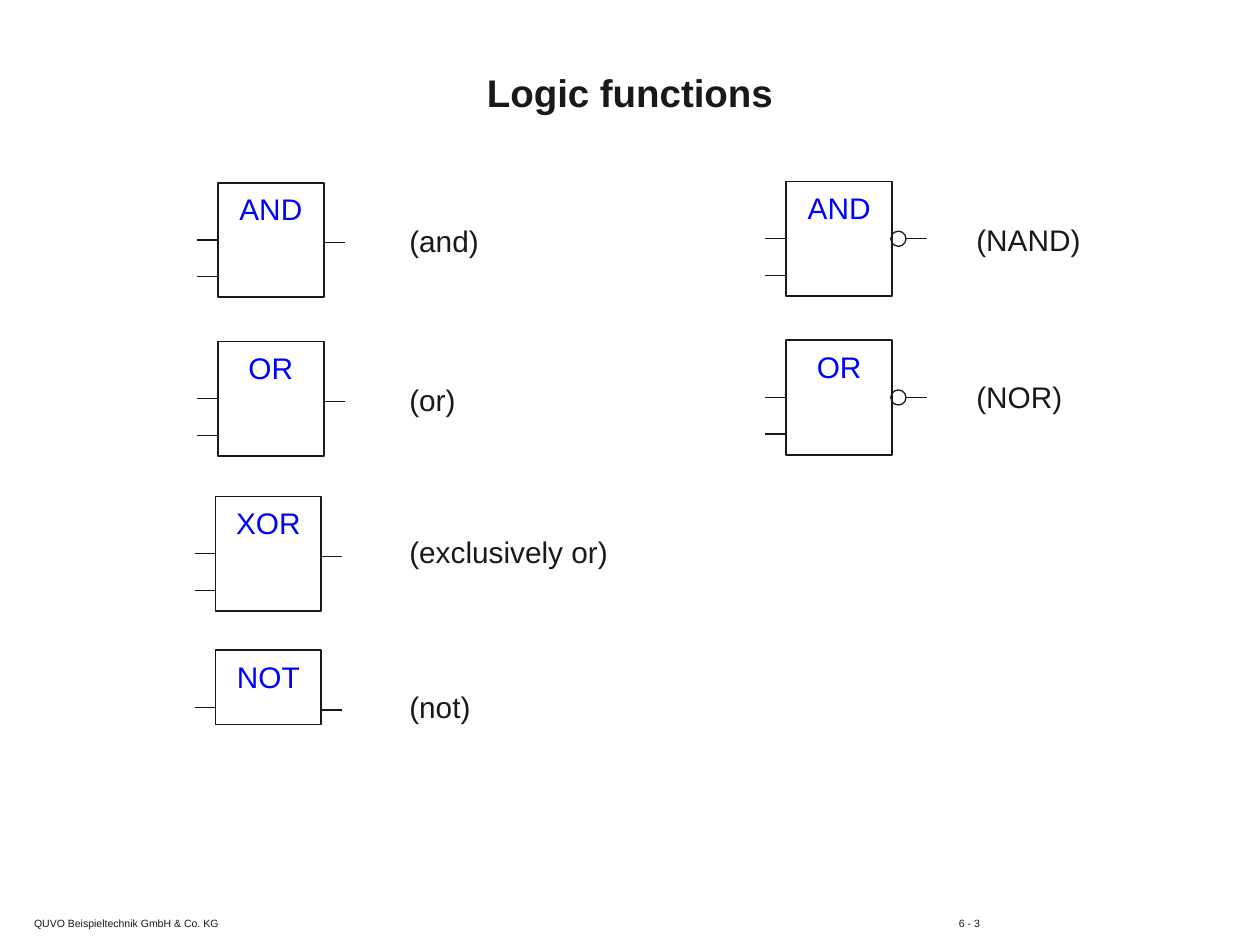
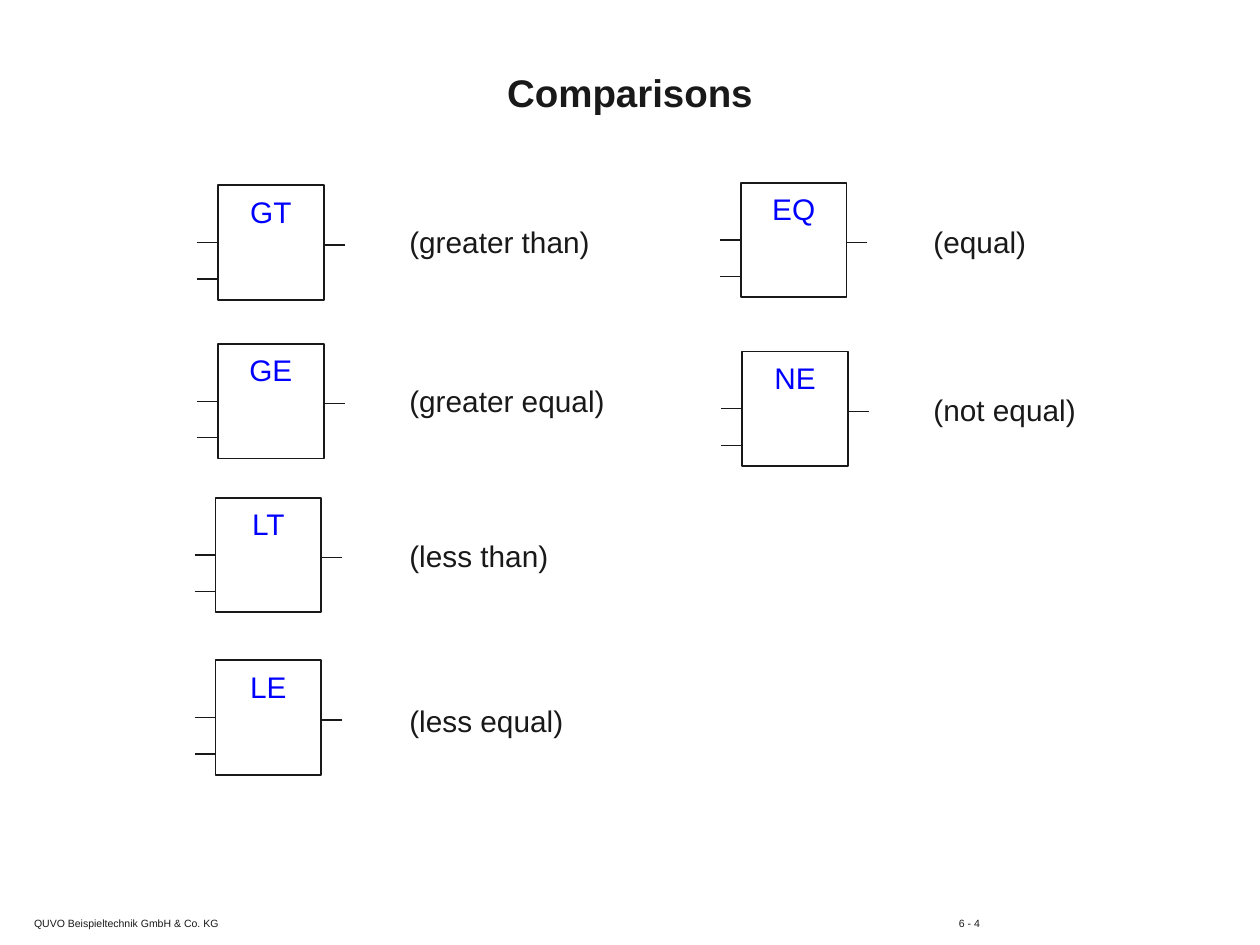
from dataclasses import dataclass

from lxml.etree import SubElement
from pptx import Presentation
from pptx.dml.color import RGBColor
from pptx.enum.shapes import MSO_CONNECTOR as Connector, MSO_SHAPE as Preset
from pptx.enum.text import MSO_ANCHOR as Anchor, PP_ALIGN as Align
from pptx.oxml.ns import qn
from pptx.util import Inches, Pt

COLUMNS, ROWS = 100, 75
SLIDE_WIDTH, SLIDE_HEIGHT = Inches(10), Inches(7.5)


@dataclass(frozen=True)
class Theme:
    font: str = "Arial"
    ink: str = "191919"
    operator: str = "0000FF"
    title_size: int = 22
    body_size: int = 17
    footer_size: int = 6
    box_line: float = 1
    pin_line: float = 0.75


@dataclass(frozen=True)
class Gate:
    operator: str
    meaning: str
    column: float
    row: float
    label_column: float
    label_row: float
    inputs: int = 2
    height: float = 9.1
    negated: bool = False


THEME = Theme()
GATE_WIDTH = 8.4
PIN_LENGTH = 1.65
FIRST_INPUT, INPUT_GAP, OUTPUT = 4.55, 2.9, 4.75
BUBBLE = 1.2
COMPANY = "QUVO Beispieltechnik GmbH & Co. KG"

LOGIC_GATES = [
    Gate("AND", "(and)", 17.3, 14.5, 31.5, 17.2),
    Gate("OR", "(or)", 17.3, 27.1, 31.5, 29.8),
    Gate("XOR", "(exclusively or)", 17.1, 39.4, 31.5, 41.9),
    Gate("NOT", "(not)", 17.1, 51.6, 31.5, 54.2, inputs=1, height=5.9),
    Gate("AND", "(NAND)", 62.4, 14.4, 76.5, 17.1, negated=True),
    Gate("OR", "(NOR)", 62.4, 27, 76.5, 29.6, negated=True),
]
COMPARISON_GATES = [
    Gate("GT", "(greater than)", 17.3, 14.7, 31.5, 17.3),
    Gate("GE", "(greater equal)", 17.3, 27.3, 31.5, 29.9),
    Gate("LT", "(less than)", 17.1, 39.5, 31.5, 42.2),
    Gate("LE", "(less equal)", 17.1, 52.4, 31.5, 55.3),
    Gate("EQ", "(equal)", 58.8, 14.5, 73.1, 17.3),
    Gate("NE", "(not equal)", 58.9, 27.9, 73.1, 30.6),
]


def across(columns):
    return round(SLIDE_WIDTH * columns / COLUMNS)


def down(rows):
    return round(SLIDE_HEIGHT * rows / ROWS)


def area(column, row, width, height):
    return across(column), down(row), across(width), down(height)


def write(shape, text, size, color=THEME.ink, bold=False, align=Align.LEFT,
          anchor=Anchor.TOP, side=1, edge=0.5):
    frame = shape.text_frame
    frame_format = {
        "word_wrap": True, "vertical_anchor": anchor,
        "margin_left": across(side), "margin_right": across(side),
        "margin_top": down(edge), "margin_bottom": down(edge),
    }
    for name, value in frame_format.items():
        setattr(frame, name, value)
    paragraph = frame.paragraphs[0]
    paragraph.alignment = align
    run = paragraph.add_run()
    run.text = text
    font_format = {"name": THEME.font, "size": Pt(size), "bold": bold}
    for name, value in font_format.items():
        setattr(run.font, name, value)
    run.font.color.rgb = RGBColor.from_string(color)
    return paragraph


def add_text(slide, place, text, size, **options):
    return write(slide.shapes.add_textbox(*area(*place)), text, size, **options)


def set_line(shape, width):
    shape.line.color.rgb = RGBColor.from_string(THEME.ink)
    shape.line.width = Pt(width)


def add_outline(group, preset, place, width):
    shape = group.shapes.add_shape(preset, *area(*place))
    shape.shadow.inherit = False
    shape.fill.background()
    set_line(shape, width)
    return shape


def add_pin(group, column, row, length=PIN_LENGTH):
    pin = group.shapes.add_connector(
        Connector.STRAIGHT, across(column), down(row),
        across(column + length), down(row))
    set_line(pin, THEME.pin_line)
    SubElement(pin.element.spPr, qn("a:effectLst"))


def add_gate(slide, gate):
    group = slide.shapes.add_group_shape()
    box = add_outline(group, Preset.RECTANGLE,
                      (gate.column, gate.row, GATE_WIDTH, gate.height),
                      THEME.box_line)
    write(box, gate.operator, THEME.body_size, color=THEME.operator,
          align=Align.CENTER, side=0, edge=0.65)
    for index in range(gate.inputs):
        add_pin(group, gate.column - PIN_LENGTH,
                gate.row + FIRST_INPUT + index * INPUT_GAP)
    right = gate.column + GATE_WIDTH
    if gate.negated:
        middle = gate.row + gate.height / 2
        add_outline(group, Preset.OVAL,
                    (right - 0.1, middle - BUBBLE / 2, BUBBLE, BUBBLE),
                    THEME.pin_line)
        add_pin(group, right + BUBBLE - 0.1, middle)
    else:
        add_pin(group, right, gate.row + OUTPUT)
    add_text(slide, (gate.label_column, gate.label_row, 19.3, 3.9),
             gate.meaning, THEME.body_size)


def add_footer(slide, page):
    paragraph = add_text(slide, (1.8, 72.4, 78.8, 1.9), f"{COMPANY}\t{page}",
                         THEME.footer_size, side=0.9, edge=0.4)
    tabs = SubElement(paragraph._p.get_or_add_pPr(), qn("a:tabLst"))
    SubElement(tabs, qn("a:tab"), pos=str(across(73.4)), algn="l")


def add_gate_slide(presentation, title, page, gates):
    slide = presentation.slides.add_slide(presentation.slide_layouts[6])
    add_footer(slide, page)
    add_text(slide, (3.8, 4.8, 92.4, 5), title, THEME.title_size, bold=True,
             align=Align.CENTER, anchor=Anchor.MIDDLE)
    for gate in gates:
        add_gate(slide, gate)


def main():
    presentation = Presentation()
    presentation.slide_width = SLIDE_WIDTH
    presentation.slide_height = SLIDE_HEIGHT
    add_gate_slide(presentation, "Logic functions", "6 - 3", LOGIC_GATES)
    add_gate_slide(presentation, "Comparisons", "6 - 4", COMPARISON_GATES)
    presentation.save("out.pptx")


if __name__ == "__main__":
    main()
